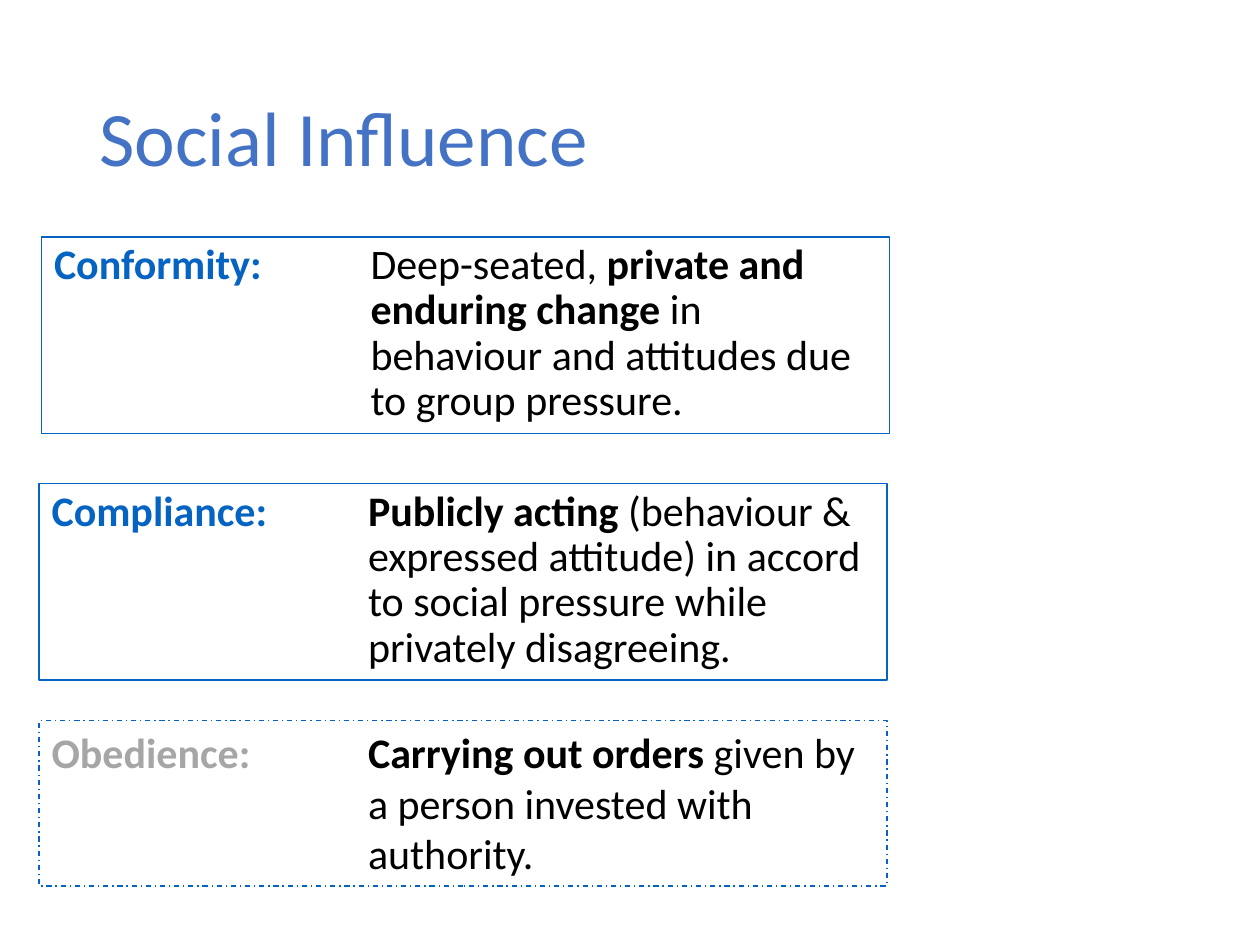
import pptx
import pptx.util
import pptx.dml.color
import pptx.enum.dml
import pptx.enum.shapes
import pptx.enum.text

Cm = pptx.util.Cm
Pt = pptx.util.Pt
BLUE = "0563C1"
GREY = "A6A6A6"
BLACK = "000000"
TERM_COLUMN = Cm(6.38)


def colour(hex_string):
    return pptx.dml.color.RGBColor.from_string(hex_string)


def place_title(page, text, left, top, width, height):
    title = page.shapes.title
    title.left, title.top, title.width, title.height = left, top, width, height
    frame = title.text_frame
    frame.text = text
    frame.vertical_anchor = pptx.enum.text.MSO_ANCHOR.MIDDLE
    para = frame.paragraphs[0]
    para.alignment = pptx.enum.text.PP_ALIGN.LEFT
    para.line_spacing = 0.9
    para.font.name = "Calibri"
    para.font.size = Pt(44)
    para.font.color.rgb = colour("4472C4")


def add_definition(page, term, term_colour, parts, left, top, width, height,
                   line_spacing=0.9, dash=None):
    box = page.shapes.add_shape(
        pptx.enum.shapes.MSO_SHAPE.RECTANGLE, left, top, width, height)
    box.shadow.inherit = False
    box.fill.background()
    box.line.color.rgb = colour(BLUE)
    box.line.width = Pt(0.75)
    if dash is not None:
        box.line.dash_style = dash

    frame = box.text_frame
    frame.word_wrap = True
    frame.auto_size = pptx.enum.text.MSO_AUTO_SIZE.SHAPE_TO_FIT_TEXT
    frame.vertical_anchor = pptx.enum.text.MSO_ANCHOR.TOP
    para = frame.paragraphs[0]
    para.alignment = pptx.enum.text.PP_ALIGN.LEFT
    para.line_spacing = line_spacing
    properties = para._p.get_or_add_pPr()
    properties.set("marL", str(TERM_COLUMN))
    properties.set("indent", str(-TERM_COLUMN))
    para.font.name = "Calibri"
    para.font.size = Pt(24)

    spans = [(term + ":\t", True, term_colour)]
    spans += [(text, bold, BLACK) for text, bold in parts]
    for text, bold, text_colour in spans:
        span = para.add_run()
        span.text = text
        span.font.bold = bold
        span.font.color.rgb = colour(text_colour)


def main():
    deck = pptx.Presentation()
    deck.slide_width, deck.slide_height = Cm(25.4), Cm(19.05)
    page = deck.slides.add_slide(deck.slide_layouts.get_by_name("Title Only"))

    place_title(page, "Social Influence", Cm(1.75), Cm(1.02), Cm(21.9), Cm(3.68))

    width = Cm(17.09)
    add_definition(
        page, "Obedience", GREY,
        [("Carrying out orders ", True),
         ("given by a person invested with authority.", False)],
        Cm(0.79), Cm(14.53), width, Cm(3.33), line_spacing=1.0,
        dash=pptx.enum.dml.MSO_LINE.DASH_DOT)
    add_definition(
        page, "Compliance", BLUE,
        [("Publicly acting ", True),
         ("(behaviour & expressed attitude) in accord to social pressure "
          "while privately disagreeing.", False)],
        Cm(0.79), Cm(9.75), width, Cm(3.96))
    add_definition(
        page, "Conformity", BLUE,
        [("Deep-seated, ", False),
         ("private and enduring change ", True),
         ("in behaviour and attitudes due to group pressure.", False)],
        Cm(0.84), Cm(4.78), width, Cm(3.96))

    deck.save("out.pptx")


if __name__ == "__main__":
    main()
